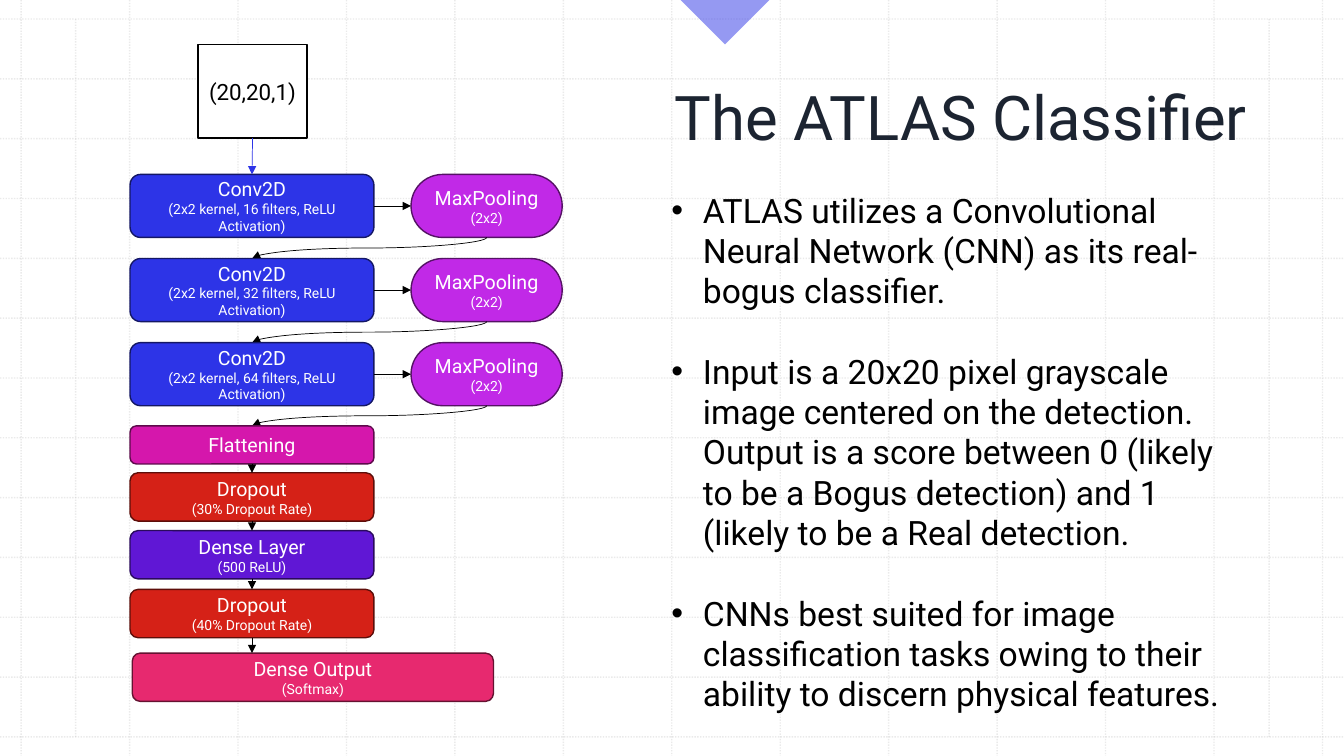
from lxml.etree import SubElement
from pptx import Presentation
from pptx.dml.color import RGBColor
from pptx.enum.dml import MSO_LINE
from pptx.enum.shapes import MSO_CONNECTOR, MSO_SHAPE
from pptx.enum.text import MSO_ANCHOR, MSO_AUTO_SIZE, PP_ALIGN
from pptx.oxml.ns import qn
from pptx.util import Pt

FONT = "Roboto"
W, H = 960, 540
TITLE = "The ATLAS Classifier"
BULLETS = [
    "ATLAS utilizes a Convolutional Neural Network (CNN) as its real-bogus classifier.",
    "Input is a 20x20 pixel grayscale image centered on the detection. Output is a score "
    "between 0 (likely to be a Bogus detection) and 1 (likely to be a Real detection.",
    "CNNs best suited for image classification tasks owing to their ability to discern "
    "physical features.",
]
INPUT = "(20,20,1)"
FILTERS = [16, 32, 64]
# name, detail, left, top, width, height, fill, outline
COL_X, COL_W = 92.9, 174.2
DENSE_STAGES = [
    ("Flattening", "", COL_X, 304.2, COL_W, 27.2, "D517AC", "5D0A4B"),
    ("Dropout", "(30% Dropout Rate)", COL_X, 337.7, COL_W, 34.5, "D52117", "5D0E0A"),
    ("Dense Layer", "(500 ReLU)", COL_X, 379, COL_W, 34.5, "6017D5", "2A0A5D"),
    ("Dropout", "(40% Dropout Rate)", COL_X, 421, COL_W, 34.5, "D52117", "5D0E0A"),
    ("Dense Output", "(Softmax)", 94.5, 466.5, 258, 34.5, "E7296F", "651231"),
]
CONV_TOP, CONV_PITCH, CONV_H = 124.6, 60.1, 45
POOL_X, POOL_W = 293.6, 108
GRID_X, GRID_DX, GRID_Y, GRID_DY, GRID_N = 15.1, 77.46, 13.6, 42.73, 13
MARGINS = [54, 906.5]

prs = Presentation()
prs.slide_width, prs.slide_height = Pt(W), Pt(H)
s = prs.slides.add_slide(prs.slide_layouts[5])


def rgb(color):
    return RGBColor.from_string(color)


def add_run(p, text, size, color):
    r = p.add_run()
    r.text = text
    r.font.name, r.font.size = FONT, Pt(size)
    r.font.color.rgb = rgb(color)


def add_line(x1, y1, x2, y2, color="000000", width=0.5, kind=MSO_CONNECTOR.STRAIGHT):
    c = s.shapes.add_connector(kind, Pt(x1), Pt(y1), Pt(x2), Pt(y2))
    c.line.color.rgb = rgb(color)
    c.line.width = Pt(width)
    SubElement(c._element.spPr, qn("a:effectLst"))
    return c


def add_head(c):
    SubElement(c._element.spPr.find(qn("a:ln")), qn("a:tailEnd"), type="triangle")


def grid_line(x1, y1, x2, y2):
    c = add_line(x1, y1, x2, y2, "BCBCBC", 1)
    c.line.dash_style = MSO_LINE.ROUND_DOT
    set_alpha(c, 30)


def set_alpha(shape, percent):
    color = next(shape._element.spPr.iter(qn("a:srgbClr")))
    SubElement(color, qn("a:alpha"), val=str(percent * 1000))


def add_box(kind, x, y, w, h, fill, outline):
    b = s.shapes.add_shape(kind, Pt(x), Pt(y), Pt(w), Pt(h))
    b.shadow.inherit = False
    b.fill.solid()
    b.fill.fore_color.rgb = rgb(fill)
    if outline:
        b.line.color.rgb = rgb(outline)
        b.line.width = Pt(1)
    else:
        b.line.fill.background()
    return b


def add_stage(name, detail, x, y, w, h, fill, outline):
    b = add_box(MSO_SHAPE.ROUNDED_RECTANGLE, x, y, w, h, fill, outline)
    tf = b.text_frame
    tf.vertical_anchor = MSO_ANCHOR.MIDDLE
    lines = [(name, 14), (detail, 10)] if detail else [(name, 14)]
    for i, (text, size) in enumerate(lines):
        p = tf.add_paragraph() if i else tf.paragraphs[0]
        p.alignment = PP_ALIGN.CENTER
        add_run(p, text, size, "FFFFFF")
    return b


def join(a, side_a, b, side_b, color="000000"):
    c = add_line(0, 0, 0, 0, color)
    c.begin_connect(a, side_a)
    c.end_connect(b, side_b)
    add_head(c)


def add_curve(x1, y1, x2, y2):
    """S-curve that leaves and arrives vertically, running down to the left."""
    cx, cy, half_w, half_h = (x1 + x2) / 2, (y1 + y2) / 2, (y2 - y1) / 2, (x1 - x2) / 2
    c = add_line(cx - half_w, cy - half_h, cx + half_w, cy + half_h,
                 kind=MSO_CONNECTOR.CURVE)
    c._element.spPr.find(qn("a:xfrm")).set("rot", "5400000")
    add_head(c)


# Background grid and corner
for i in range(GRID_N):
    x, y = GRID_X + i * GRID_DX, GRID_Y + i * GRID_DY
    grid_line(x, 0, x, H)
    grid_line(0, y, W, y)
for x in MARGINS:
    grid_line(x, GRID_Y, x, GRID_Y + (GRID_N - 1) * GRID_DY)
corner = add_box(MSO_SHAPE.RIGHT_TRIANGLE, 495.5, -22.4, 44.8, 44.8, "2D34E7", None)
corner.rotation = 315
set_alpha(corner, 50)

# Title, kept in front of the grid
title = s.shapes.title
s.shapes._spTree.append(title._element)
title.left, title.top, title.width, title.height = Pt(162), Pt(-1.5), Pt(736.5), Pt(114)
tf = title.text_frame
tf.auto_size = MSO_AUTO_SIZE.NONE
tf.vertical_anchor = MSO_ANCHOR.BOTTOM
tf.paragraphs[0].alignment = PP_ALIGN.RIGHT
add_run(tf.paragraphs[0], TITLE, 44, "1C2431")

# Network diagram
source = add_box(MSO_SHAPE.RECTANGLE, 141.4, 31.7, 78, 67, "FFFFFF", "000000")
tf = source.text_frame
tf.margin_left = tf.margin_right = 0
tf.vertical_anchor = MSO_ANCHOR.MIDDLE
tf.paragraphs[0].alignment = PP_ALIGN.CENTER
add_run(tf.paragraphs[0], INPUT, 16, "000000")

convs = []
for i, n in enumerate(FILTERS):
    y = CONV_TOP + i * CONV_PITCH
    conv = add_stage("Conv2D", f"(2x2 kernel, {n} filters, ReLU Activation)",
                     COL_X, y, COL_W, CONV_H, "2D34E7", "141765")
    pool = add_stage("MaxPooling", "(2x2)", POOL_X, y, POOL_W, CONV_H, "C129E7", "551265")
    pool.adjustments[0] = 0.5
    join(conv, 3, pool, 1)
    next_top = y + CONV_PITCH if i < len(FILTERS) - 1 else DENSE_STAGES[0][3]
    add_curve(POOL_X + POOL_W / 2, y + CONV_H, COL_X + COL_W / 2, next_top)
    convs.append(conv)
join(source, 2, convs[0], 0, "2D34E7")

stages = [add_stage(*stage) for stage in DENSE_STAGES]
for a, b in zip(stages[:-2], stages[1:-1]):
    join(a, 2, b, 0)
mid = COL_X + COL_W / 2
last = add_line(mid, 455.5, mid, DENSE_STAGES[-1][3])
last.begin_connect(stages[-2], 2)
add_head(last)

# Bullets
tf = s.shapes.add_textbox(Pt(472.5), Pt(131.8), Pt(419), Pt(385)).text_frame
tf.word_wrap = True
for i, text in enumerate(BULLETS):
    p = tf.add_paragraph() if i else tf.paragraphs[0]
    pPr = p._p.get_or_add_pPr()
    pPr.set("marL", str(Pt(22.5)))
    pPr.set("indent", str(-Pt(22.5)))
    if i:
        p.space_before = Pt(28.8)
    SubElement(pPr, qn("a:buFont"), typeface="Arial")
    SubElement(pPr, qn("a:buChar"), char="•")
    add_run(p, text, 24, "000000")

prs.save("out.pptx")
